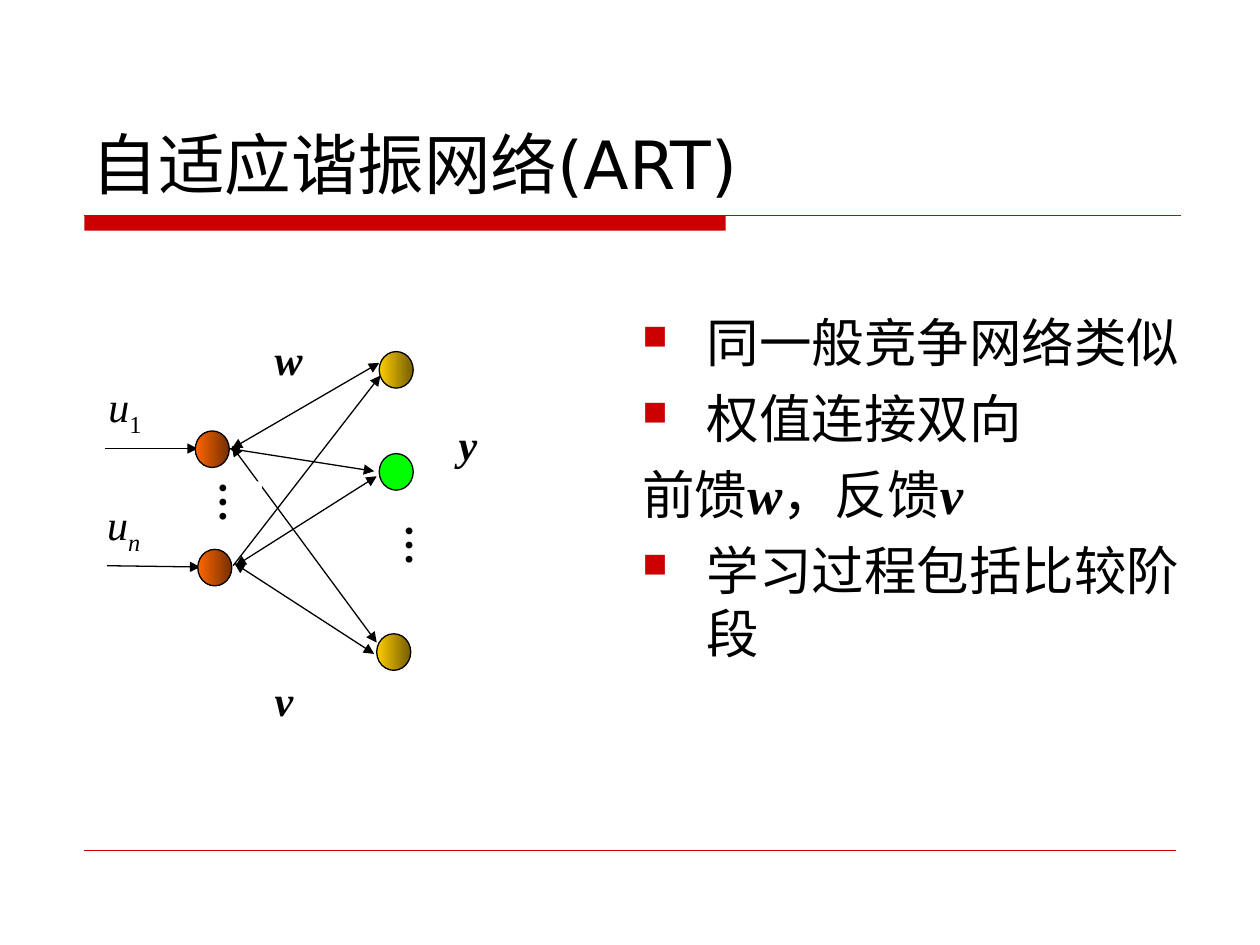
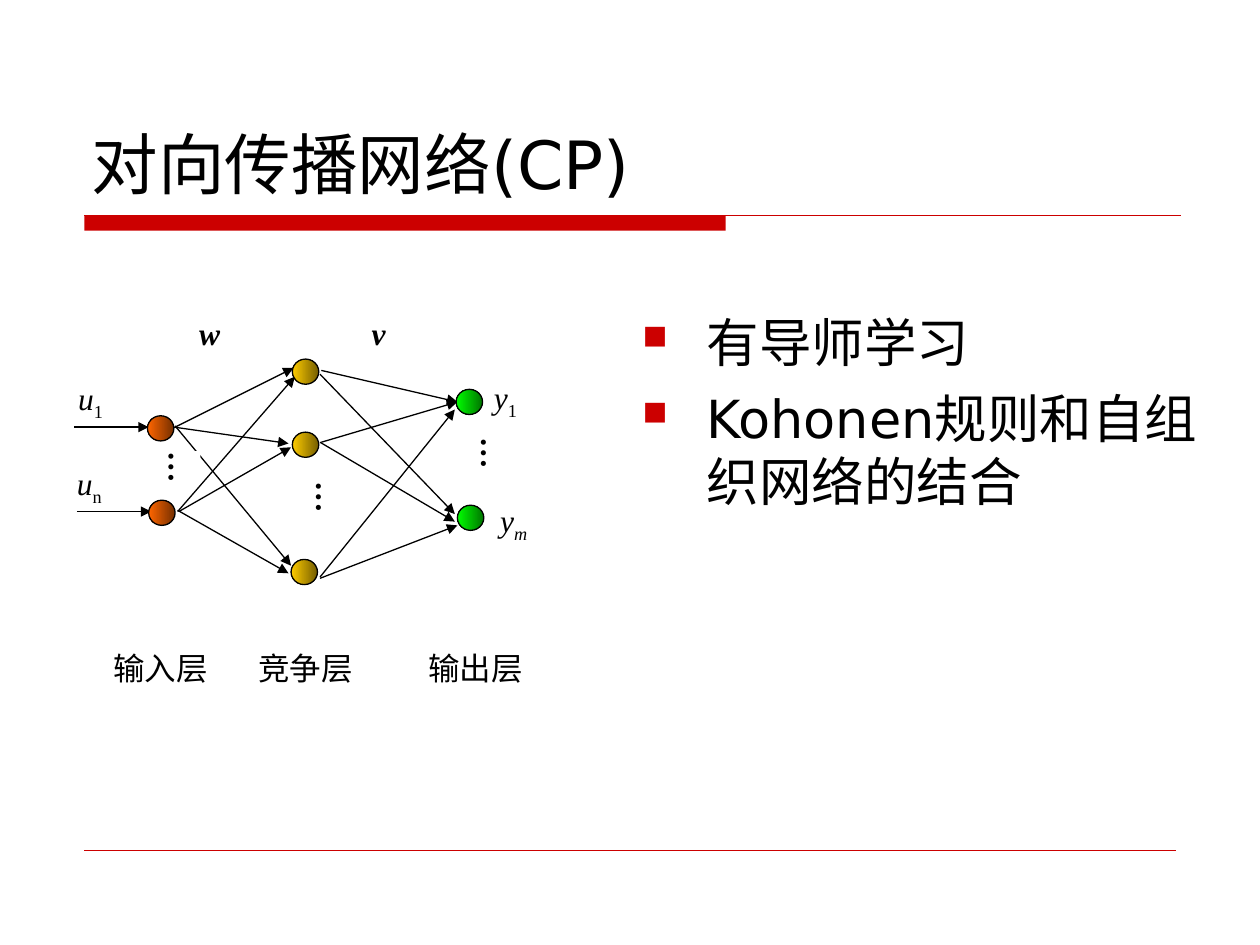
"""Build two slides on the ART and CP neural networks."""
from lxml import etree
from pptx import Presentation
from pptx.dml.color import RGBColor
from pptx.enum.shapes import MSO_CONNECTOR, MSO_SHAPE
from pptx.enum.text import MSO_ANCHOR, PP_ALIGN
from pptx.oxml.ns import qn
from pptx.util import Inches, Pt

STRAIGHT = MSO_CONNECTOR.STRAIGHT
RECTANGLE, OVAL = MSO_SHAPE.RECTANGLE, MSO_SHAPE.OVAL
BOTTOM, JUSTIFY = MSO_ANCHOR.BOTTOM, PP_ALIGN.JUSTIFY
SANS, SERIF = "DejaVu Sans", "Times New Roman"
RED, BLACK, WHITE = "CC0000", "000000", "FFFFFF"
ORANGE, GOLD, GREEN = ("752F00", "FF6600"), ("755E00", "FFCC00"), ("007500", "00FF00")
PLAIN_GREEN = ("00FF00", "00FF00")
BULLET_INDENT = Inches(0.51)
DOTS = [("…", "b")]


def add_line(slide, ends, color=BLACK, width=0.75, arrows=()):
    line = slide.shapes.add_connector(STRAIGHT, *[Inches(v) for v in ends])
    line.line.color.rgb = RGBColor.from_string(color)
    line.line.width = Pt(width)
    for end in arrows:
        etree.SubElement(line.line._get_or_add_ln(), qn(f"a:{end}"), type="triangle")
    etree.SubElement(line._element.spPr, qn("a:effectLst"))


def write_runs(paragraph, runs, size, font):
    for text, style in runs:
        run = paragraph.add_run()
        run.text = text
        run.font.size = Pt(size)
        run.font.name = SERIF if "b" in style else font
        run.font.bold = "b" in style
        run.font.italic = "i" in style
        run.font.color.rgb = RGBColor.from_string(BLACK)
        if "_" in style:
            run._r.get_or_add_rPr().set("baseline", "-25000")


ONE_WAY, TWO_WAY = ["tailEnd"], ["headEnd", "tailEnd"]

lessons = [
    {
        "title": "自适应谐振网络(ART)",
        "points": [
            (True, [("同一般竞争网络类似", "")]),
            (True, [("权值连接双向", "")]),
            (False, [("前馈", ""), ("w", "bi"), ("，反馈", ""), ("v", "bi")]),
            (True, [("学习过程包括比较阶段", "")]),
        ],
        "label size": 24,
        "masked link": ((1.84, 3.54, 2.99, 5.1), TWO_WAY),
        "labels": [
            (3.64, 3.32, 0.97, 0.45, [("y", "bi")]),
            (1.55, 3.82, 0.53, 0.58, DOTS),
            (3.03, 4.16, 0.53, 0.58, DOTS),
            (2.18, 2.65, 0.51, 0.45, [("w", "bi")]),
            (2.18, 5.35, 0.51, 0.45, [("v", "bi")]),
            (0.86, 3.02, 0.37, 0.45, [("u", "i"), ("1", "_")]),
            (0.85, 3.96, 0.37, 0.45, [("u", "i"), ("n", "i_")]),
        ],
        "links": [
            ((0.83, 3.56, 1.57, 3.56), ONE_WAY),
            ((0.85, 4.49, 1.59, 4.5), ONE_WAY),
            ((1.85, 4.49, 3.02, 2.98), ONE_WAY),
            ((1.84, 3.56, 3.01, 2.88), TWO_WAY),
            ((1.82, 3.56, 2.97, 3.74), TWO_WAY),
            ((1.87, 4.49, 2.99, 3.78), TWO_WAY),
            ((1.86, 4.47, 2.97, 5.19), TWO_WAY),
        ],
        "neuron size": (0.27, 0.29),
        "neurons": [
            (1.55, 3.42, ORANGE), (1.57, 4.36, ORANGE),
            (3.01, 2.79, GOLD), (3.01, 3.6, PLAIN_GREEN), (2.99, 5.03, GOLD),
        ],
    },
    {
        "title": "对向传播网络(CP)",
        "points": [
            (True, [("有导师学习", "")]),
            (True, [("Kohonen规则和自组织网络的结合", "")]),
        ],
        "label size": 18,
        "masked link": ((1.39, 3.38, 2.31, 4.49), ONE_WAY),
        "labels": [
            (1.17, 3.58, 0.42, 0.41, DOTS),
            (2.34, 3.82, 0.42, 0.41, DOTS),
            (3.65, 3.47, 0.42, 0.41, DOTS),
            (1.58, 2.49, 0.41, 0.32, [("w", "bi")]),
            (2.95, 2.49, 0.46, 0.26, [("v", "bi")]),
            (0.62, 3.01, 0.29, 0.32, [("u", "i"), ("1", "_")]),
            (0.61, 3.68, 0.29, 0.32, [("u", "i"), ("n", "_")]),
            (3.92, 3, 0.37, 0.41, [("y", "i"), ("1", "_")]),
            (3.97, 3.98, 0.37, 0.41, [("y", "i"), ("m", "i_")]),
            (0.9, 5.15, 0.96, 0.41, [("输入层", "")]),
            (2.05, 5.15, 0.96, 0.41, [("竞争层", "")]),
            (3.4, 5.15, 0.96, 0.41, [("输出层", "")]),
        ],
        "links": [(ends, ONE_WAY) for ends in [
            (0.59, 3.39, 1.18, 3.39), (0.61, 4.06, 1.2, 4.06),
            (1.39, 3.39, 2.33, 2.92), (1.38, 3.39, 2.29, 3.52),
            (1.41, 4.06, 2.34, 2.99), (1.42, 4.06, 2.31, 3.55), (1.41, 4.05, 2.29, 4.55),
            (2.55, 2.94, 3.63, 3.19), (2.54, 2.97, 3.61, 4.08),
            (2.55, 3.51, 3.63, 3.19), (2.54, 3.51, 3.61, 4.14),
            (2.54, 4.58, 3.61, 3.25), (2.54, 4.59, 3.63, 4.17),
        ]],
        "neuron size": (0.21, 0.2),
        "neurons": [
            (1.17, 3.3, ORANGE), (1.18, 3.97, ORANGE),
            (2.32, 2.85, GOLD), (2.32, 3.43, GOLD), (2.31, 4.44, GOLD),
            (3.62, 3.09, GREEN), (3.63, 4.01, GREEN),
        ],
    },
]

deck = Presentation()
deck.slide_width, deck.slide_height = Inches(10), Inches(7.5)

for lesson in lessons:
    slide = deck.slides.add_slide(deck.slide_layouts[6])

    band = slide.shapes.add_shape(RECTANGLE, Inches(0.67), Inches(1.71), Inches(5.09), Inches(0.12))
    band.shadow.inherit = False
    band.fill.solid()
    band.fill.fore_color.rgb = RGBColor.from_string(RED)
    band.line.fill.background()
    add_line(slide, (0.67, 1.71, 9.37, 1.71), RED)
    add_line(slide, (0.67, 6.75, 9.33, 6.75), RED, 0.25)

    title = slide.shapes.add_textbox(Inches(0.63), Inches(0.33), Inches(8.75), Inches(1.33)).text_frame
    title.word_wrap = True
    title.vertical_anchor = BOTTOM
    write_runs(title.paragraphs[0], [(lesson["title"], "")], 38, SANS)

    body = slide.shapes.add_textbox(Inches(5), Inches(2.41), Inches(4.65), Inches(4.57)).text_frame
    body.word_wrap = True
    for number, (bulleted, runs) in enumerate(lesson["points"]):
        point = body.add_paragraph() if number else body.paragraphs[0]
        point.space_before = Pt(7.5)
        write_runs(point, runs, 30, SANS)
        properties = point._p.get_or_add_pPr()
        properties.set("marL", str(BULLET_INDENT))
        properties.set("indent", str(-BULLET_INDENT))
        if bulleted:
            bullet_color = etree.SubElement(properties, qn("a:buClr"))
            etree.SubElement(bullet_color, qn("a:srgbClr"), val=RED)
            etree.SubElement(properties, qn("a:buSzPct"), val="65000")
            etree.SubElement(properties, qn("a:buChar"), char="■")

    ends, arrows = lesson["masked link"]
    add_line(slide, ends, arrows=arrows)

    for *box, runs in lesson["labels"]:
        label = slide.shapes.add_shape(RECTANGLE, *[Inches(v) for v in box])
        label.shadow.inherit = False
        label.fill.solid()
        label.fill.fore_color.rgb = RGBColor.from_string(WHITE)
        label.line.fill.background()
        frame = label.text_frame
        frame.word_wrap = True
        frame.vertical_anchor = MSO_ANCHOR.TOP
        frame.margin_left = frame.margin_right = frame.margin_top = frame.margin_bottom = 0
        if runs is DOTS:
            frame._txBody.bodyPr.set("vert", "eaVert")
        frame.paragraphs[0].alignment = JUSTIFY
        write_runs(frame.paragraphs[0], runs, lesson["label size"], SERIF)

    for ends, arrows in lesson["links"]:
        add_line(slide, ends, arrows=arrows)

    for left, top, shades in lesson["neurons"]:
        neuron = slide.shapes.add_shape(OVAL, *[Inches(v) for v in (left, top, *lesson["neuron size"])])
        neuron.shadow.inherit = False
        if shades is PLAIN_GREEN:
            neuron.fill.solid()
            neuron.fill.fore_color.rgb = RGBColor.from_string(shades[0])
        else:
            neuron.fill.gradient()
            neuron.fill.gradient_angle = 180
            for stop, shade in zip(neuron.fill.gradient_stops, shades):
                stop.color.rgb = RGBColor.from_string(shade)
        neuron.line.color.rgb = RGBColor.from_string(BLACK)
        neuron.line.width = Pt(0.75)

deck.save("out.pptx")
